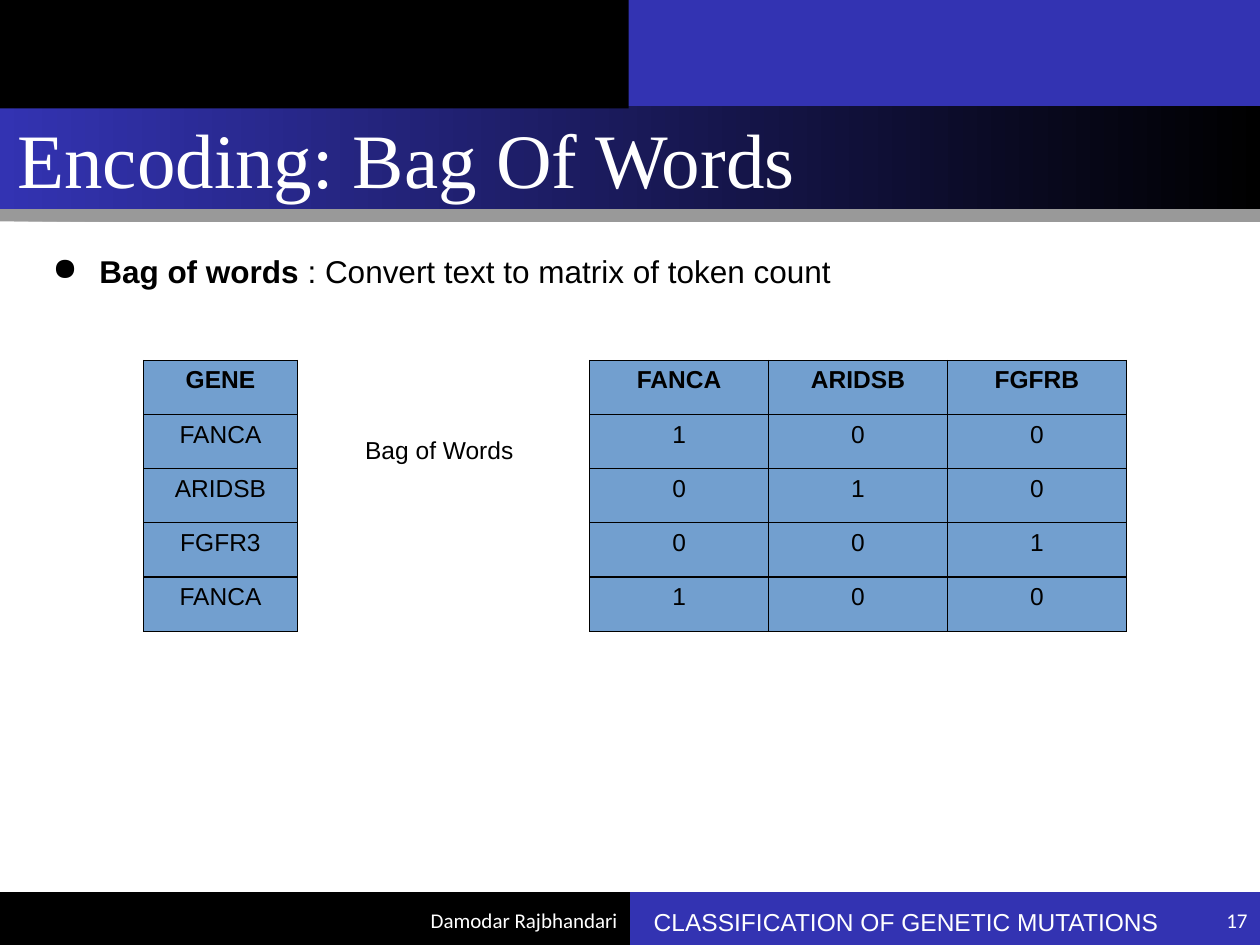
from dataclasses import dataclass

from lxml import etree
from pptx import Presentation
from pptx import util as u
from pptx.dml import color as col
from pptx.enum import shapes, text
from pptx.oxml import ns


@dataclass(frozen=True)
class Theme:
    """Colours, fonts and type sizes."""
    blue: str = "3333B2"
    black: str = "000000"
    white: str = "FFFFFF"
    cell: str = "729FCF"
    sans: str = "Arial"
    serif: str = "Times New Roman"
    foot: str = "Calibri"
    title: int = 44
    body: int = 18
    label: int = 14
    small: int = 12
    rule: float = 0.75


T = Theme()
LEFT, MID, RIGHT = text.PP_ALIGN.LEFT, text.PP_ALIGN.CENTER, text.PP_ALIGN.RIGHT


def rgb(code):
    """Turn a hex code into a colour."""
    return col.RGBColor.from_string(code)


def node(root, tag, **vals):
    """Add a drawing element with its attributes."""
    return etree.SubElement(root, ns.qn(tag), {k: str(v) for k, v in vals.items()})


def apply(obj, vals):
    """Set each format value on an object."""
    for name, val in vals.items():
        setattr(obj, name, val)


def write(para, words, size, font=T.sans, ink=T.black, bold=False, align=LEFT):
    """Add one styled run to a paragraph."""
    para.alignment = align
    run = para.add_run()
    run.text = words
    apply(run.font, {"size": u.Pt(size), "name": font, "bold": bold})
    run.font.color.rgb = rgb(ink)


def bar(slide, box, fill):
    """Draw a plain block."""
    block = slide.shapes.add_shape(shapes.MSO_SHAPE.RECTANGLE, *map(u.Inches, box))
    block.shadow.inherit = False
    block.line.fill.background()
    block.fill.solid()
    block.fill.fore_color.rgb = rgb(fill)
    return block


def band(slide, box):
    """Draw the title band with its gradient and hard shadow."""
    block = bar(slide, box, T.blue)
    block.fill.gradient()
    block.fill.gradient_angle = 0
    for stop, ink in zip(block.fill.gradient_stops, (T.blue, T.black)):
        stop.color.rgb = rgb(ink)
    fx = block.element.spPr.find(ns.qn("a:effectLst"))
    cast = node(fx, "a:outerShdw", blurRad=0, dist=u.Pt(7), dir=5400000,
                algn="t", rotWithShape=0)
    node(node(cast, "a:srgbClr", val=T.black), "a:alpha", val=40000)


def label(slide, box, words="", size=T.label, pad=0.1, mid=False, **style):
    """Place a text box and return its first paragraph."""
    frame = slide.shapes.add_textbox(*map(u.Inches, box)).text_frame
    anchor = text.MSO_ANCHOR.MIDDLE if mid else text.MSO_ANCHOR.TOP
    apply(frame, {"word_wrap": True, "vertical_anchor": anchor,
                  "margin_left": u.Inches(0.1), "margin_right": u.Inches(0.1),
                  "margin_top": u.Inches(pad), "margin_bottom": u.Inches(pad)})
    para = frame.paragraphs[0]
    if words:
        write(para, words, size, **style)
    return para


def bullet(para, lead, rest):
    """Write a bulleted line with a bold lead."""
    write(para, lead, T.body, bold=True)
    write(para, rest, T.body)
    props = para._p.get_or_add_pPr()
    apply_xml = {"marL": u.Inches(0.5), "indent": u.Inches(-0.37)}
    for name, val in apply_xml.items():
        props.set(name, str(val))
    node(node(props, "a:buClr"), "a:srgbClr", val=T.black)
    node(props, "a:buChar", char="●")


def border(cell):
    """Rule all four sides of a cell."""
    props = cell._tc.get_or_add_tcPr()
    for spot, side in enumerate("LRTB"):
        line = node(props, f"a:ln{side}", w=u.Pt(T.rule))
        node(node(line, "a:solidFill"), "a:srgbClr", val=T.black)
        props.insert(spot, line)


def grid(slide, left, top, wide, high, rows):
    """Draw a table with a bold head row."""
    count = len(rows[0])
    size = (left, top, wide * count, high * len(rows))
    table = slide.shapes.add_table(len(rows), count, *map(u.Inches, size)).table
    for column in table.columns:
        column.width = u.Inches(wide)
    for y, row in enumerate(rows):
        table.rows[y].height = u.Inches(high)
        for x, words in enumerate(row):
            cell = table.cell(y, x)
            cell.fill.solid()
            cell.fill.fore_color.rgb = rgb(T.cell)
            border(cell)
            write(cell.text_frame.paragraphs[0], words, T.label,
                  bold=y == 0, align=MID)


def main():
    """Build and save the slide."""
    deck = Presentation()
    apply(deck, {"slide_width": u.Inches(10), "slide_height": u.Inches(7.5)})
    slide = deck.slides.add_slide(deck.slide_layouts[6])

    bar(slide, (5, 7.08, 5, 0.42), T.blue)
    bar(slide, (0, 7.08, 5, 0.42), T.black)
    band(slide, (0, 0.83, 10, 0.83))
    bar(slide, (4.92, -0.01, 5.08, 0.85), T.blue)
    bar(slide, (-0.01, -0.01, 5, 0.87), T.black)

    label(slide, (0.04, 0.85, 9.85, 0.81), "Encoding: Bag Of Words", T.title,
          pad=0.05, mid=True, font=T.serif, ink=T.white)
    bullet(label(slide, (0.19, 1.9, 9.56, 5.2)), "Bag of words",
           " : Convert text to matrix of token count")

    genes = ["GENE", "FANCA", "ARIDSB", "FGFR3", "FANCA"]
    grid(slide, 1.14, 2.86, 1.22, 0.43, [[gene] for gene in genes])
    label(slide, (2.8, 3.35, 2.04, 0.4), "Bag of Words")
    counts = ["100", "010", "001", "100"]
    grid(slide, 4.68, 2.86, 1.42, 0.43, [["FANCA", "ARIDSB", "FGFRB"], *counts])

    note = {"size": T.small, "pad": 0.05, "mid": True, "font": T.foot,
            "ink": T.white, "align": RIGHT}
    label(slide, (1.17, 7.1, 3.83, 0.4), "Damodar Rajbhandari", **note)
    label(slide, (8.83, 7.1, 1.17, 0.4), "17", **note)
    label(slide, (5.09, 7.1, 4.6, 0.4), "CLASSIFICATION OF GENETIC MUTATIONS",
          ink=T.white)
    deck.save("out.pptx")


if __name__ == "__main__":
    main()
